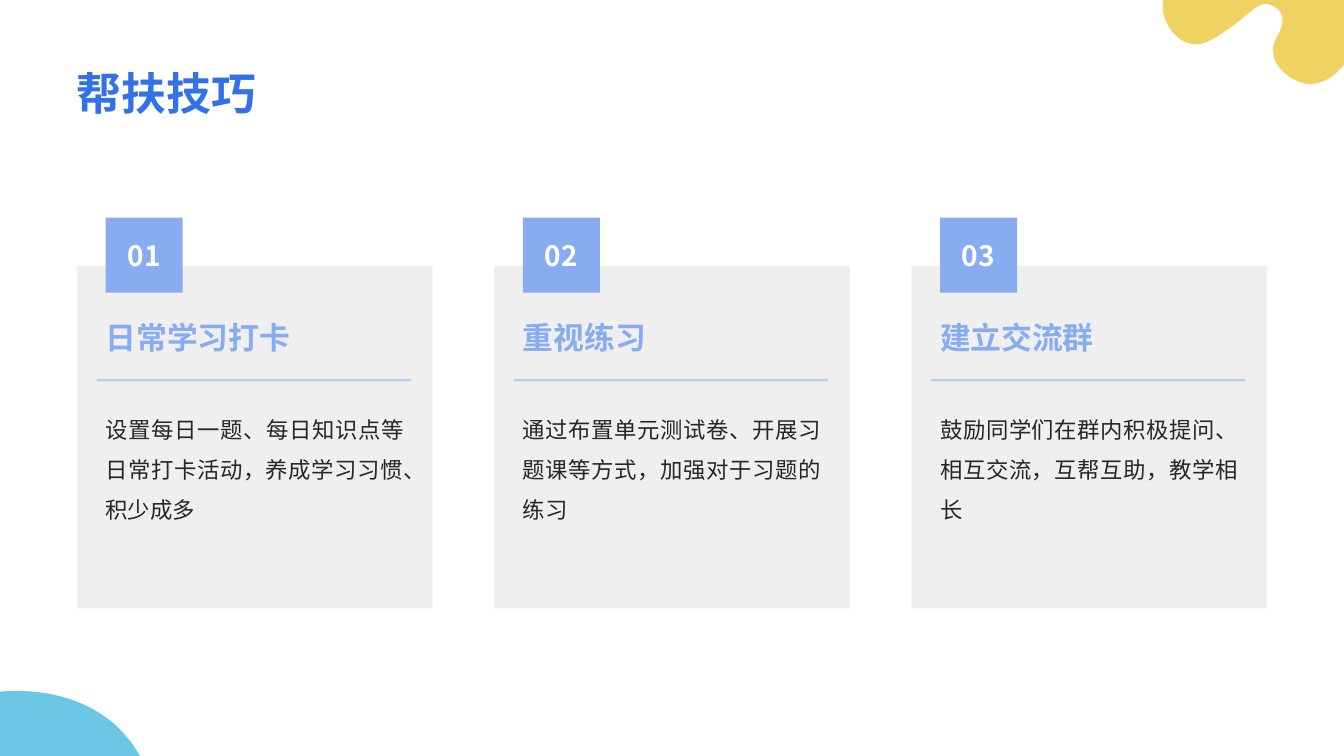
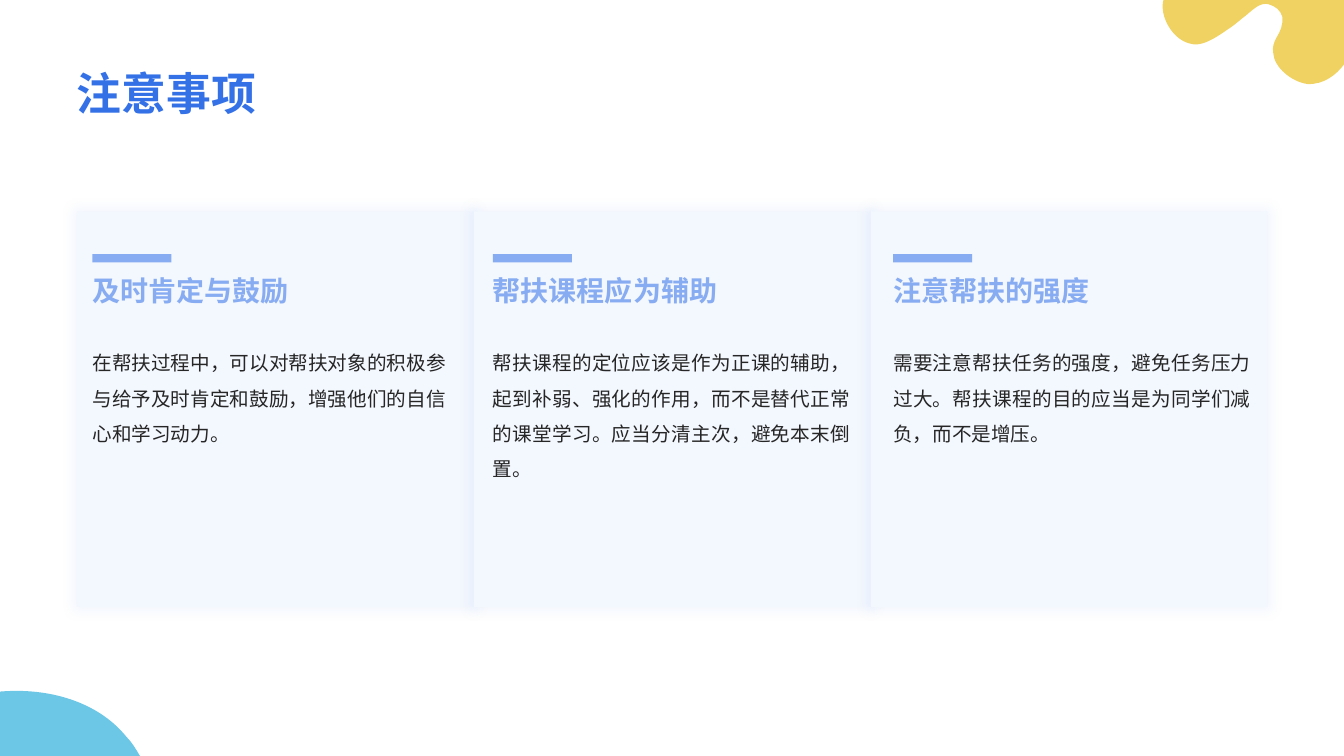
from lxml import etree
from pptx import Presentation
from pptx.dml.color import RGBColor
from pptx.enum.lang import MSO_LANGUAGE_ID as Language
from pptx.enum.shapes import MSO_CONNECTOR as Connector, MSO_SHAPE as Shape
from pptx.enum.text import MSO_ANCHOR as Anchor, PP_ALIGN as Align
from pptx.oxml.ns import qn
from pptx.util import Pt

PX = 6350
SLIDE_WIDTH, SLIDE_HEIGHT = 1920, 1080
MARGIN = 110
FONT = "Noto Sans CJK SC"
TITLE_BLUE = RGBColor(0x34, 0x71, 0xE7)
ACCENT_BLUE = RGBColor(0x88, 0xAC, 0xF1)
PALE_BLUE = RGBColor(0xF3, 0xF7, 0xFE)
GREY = RGBColor(0x99, 0x99, 0x99)
INK = RGBColor(0x26, 0x26, 0x26)
WHITE = RGBColor(0xFF, 0xFF, 0xFF)
YELLOW = RGBColor(0xF0, 0xD2, 0x62)
SKY = RGBColor(0x6C, 0xC6, 0xE6)

YELLOW_BLOB = [
    (1662, 0), (1920, 0), (1920, 92),
    (1909, 107, 1891, 121, 1868, 120), (1845, 117, 1820, 96, 1819, 76),
    (1817, 68, 1820, 60, 1824, 53), (1829, 45, 1833, 36, 1832, 24),
    (1829, 14, 1822, 9, 1812, 6), (1801, 4, 1794, 10, 1780, 22),
    (1773, 27, 1765, 35, 1754, 42), (1735, 55, 1716, 68, 1699, 62),
    (1675, 56, 1656, 23, 1662, 0),
]
SKY_BLOB = [
    (200, 1080), (0, 1080), (0, 988),
    (69, 982, 140, 1002, 181, 1053), (189, 1061, 194, 1070, 200, 1080),
]

SKILLS = [
    ("日常学习打卡", "设置每日一题、每日知识点等日常打卡活动，养成学习习惯、积少成多"),
    ("重视练习", "通过布置单元测试卷、开展习题课等方式，加强对于习题的练习"),
    ("建立交流群", "鼓励同学们在群内积极提问、相互交流，互帮互助，教学相长"),
]
CAUTIONS = [
    ("及时肯定与鼓励",
     "在帮扶过程中，可以对帮扶对象的积极参与给予及时肯定和鼓励，增强他们的自信心和学习动力。",
     Align.LEFT),
    ("帮扶课程应为辅助",
     "帮扶课程的定位应该是作为正课的辅助，起到补弱、强化的作用，而不是替代正常的课堂学习。应当分清主次，避免本末倒置。",
     Align.JUSTIFY),
    ("注意帮扶的强度",
     "需要注意帮扶任务的强度，避免任务压力过大。帮扶课程的目的应当是为同学们减负，而不是增压。",
     Align.JUSTIFY),
]


def to_emu(*lengths):
    return [length * PX for length in lengths]


def write_text(shape, text, size, color, bold=False, align=Align.LEFT,
               anchor=Anchor.TOP, line_spacing=None, wrap=True):
    frame = shape.text_frame
    frame.text = text
    frame.word_wrap = wrap
    frame.vertical_anchor = anchor
    frame.margin_left = frame.margin_top = frame.margin_right = frame.margin_bottom = 0
    paragraph = frame.paragraphs[0]
    paragraph.alignment = align
    if line_spacing:
        paragraph.line_spacing = line_spacing
    font = paragraph.runs[0].font
    font.name, font.size, font.bold = FONT, Pt(size), bold
    font.color.rgb = color
    font.language_id = Language.SIMPLIFIED_CHINESE
    latin = next(shape.element.iter(qn("a:latin")))
    latin.addnext(latin.makeelement(qn("a:ea"), {"typeface": FONT}))


def add_text(slide, box, text, size, color, **style):
    write_text(slide.shapes.add_textbox(*to_emu(*box)), text, size, color, **style)


def set_alpha(fill_owner, percent):
    color = next(fill_owner.iter(qn("a:srgbClr")))
    etree.SubElement(color, qn("a:alpha"), val=str(percent * 1000))


def paint(shape, color):
    shape.shadow.inherit = False
    shape.fill.solid()
    shape.fill.fore_color.rgb = color
    shape.line.fill.background()


def add_box(slide, kind, box, color):
    shape = slide.shapes.add_shape(kind, *to_emu(*box))
    paint(shape, color)
    if kind == Shape.ROUNDED_RECTANGLE:
        shape.adjustments[0] = 0
    return shape


def add_glow(shape):
    effects = shape.element.spPr.find(qn("a:effectLst"))
    shadow = etree.SubElement(effects, qn("a:outerShdw"), blurRad=str(Pt(8)),
                              dist="0", dir="0", sx="102000", sy="102000",
                              algn="ctr", rotWithShape="0")
    etree.SubElement(shadow, qn("a:srgbClr"), val=str(ACCENT_BLUE))
    set_alpha(shadow, 10)


def add_rule(slide, left, top, width):
    rule = slide.shapes.add_connector(
        Connector.STRAIGHT, *to_emu(left, top, left + width, top))
    rule.line.width = Pt(1.75)
    rule.line.color.rgb = ACCENT_BLUE
    set_alpha(rule.element.spPr, 50)
    etree.SubElement(rule.element.spPr, qn("a:effectLst"))


def add_blob(slide, segments, color):
    start, *others = segments
    builder = slide.shapes.build_freeform(*to_emu(*start), scale=1.0)
    builder.add_line_segments([to_emu(*segment[-2:]) for segment in others], close=True)
    blob = builder.convert_to_shape()
    paint(blob, color)
    for line, segment in zip(list(blob.element.iter(qn("a:lnTo"))), others):
        if len(segment) == 6:
            curve = line.makeelement(qn("a:cubicBezTo"), {})
            for x, y in zip(to_emu(*segment[::2]), to_emu(*segment[1::2])):
                etree.SubElement(curve, qn("a:pt"), x=str(x - blob.left), y=str(y - blob.top))
            line.getparent().replace(line, curve)
    return blob


def decorate_layout(layout, slide):
    for segments, color in ((YELLOW_BLOB, YELLOW), (SKY_BLOB, SKY)):
        layout.shapes.element.append(add_blob(slide, segments, color).element)


def add_titled_slide(presentation, layout, text):
    slide = presentation.slides.add_slide(layout)
    title = slide.shapes.title
    title.left, title.top, title.width, title.height = to_emu(MARGIN, 57, 1700, 114)
    write_text(title, text, 32, TITLE_BLUE, bold=True, anchor=Anchor.BOTTOM)
    return slide


def add_skill_card(slide, box, number, heading, body):
    left, top, width, height = box
    inner, inner_width = left + 41, width - 82
    card = add_box(slide, Shape.ROUNDED_RECTANGLE, box, GREY)
    set_alpha(card.element.spPr, 15)
    add_text(slide, (inner, top + 195, inner_width, 253), body, 16, INK,
             align=Align.JUSTIFY, line_spacing=1.5)
    badge = add_box(slide, Shape.ROUNDED_RECTANGLE, (inner, top - 69, 110, 107), ACCENT_BLUE)
    write_text(badge, f"{number:02}", 20, WHITE, bold=True, align=Align.CENTER,
               anchor=Anchor.MIDDLE, wrap=False)
    add_text(slide, (inner, top + 67, inner_width, 70), heading, 22, ACCENT_BLUE,
             bold=True, anchor=Anchor.MIDDLE)
    add_rule(slide, left + 28, top + 163, width - 59)


def add_caution_card(slide, box, inset, heading, body, align):
    left, top, width, height = box
    inner, inner_width = left + inset, width - 56
    add_glow(add_box(slide, Shape.RECTANGLE, box, PALE_BLUE))
    add_text(slide, (inner, top + 183, inner_width, 351), body, 14, INK,
             align=align, line_spacing=1.5)
    add_text(slide, (inner, top + 35, inner_width, 102), heading, 20, ACCENT_BLUE,
             bold=True, align=align, anchor=Anchor.BOTTOM)
    add_box(slide, Shape.RECTANGLE, (inner, top + 61, 113, 12), ACCENT_BLUE)


def main():
    presentation = Presentation()
    presentation.slide_width, presentation.slide_height = to_emu(SLIDE_WIDTH, SLIDE_HEIGHT)
    layout = presentation.slide_layouts[5]

    skills_slide = add_titled_slide(presentation, layout, "帮扶技巧")
    decorate_layout(layout, skills_slide)
    for index, skill in enumerate(SKILLS):
        add_skill_card(skills_slide, (MARGIN + 596 * index, 380, 508, 489), index + 1, *skill)

    cautions_slide = add_titled_slide(presentation, layout, "注意事项")
    for index, caution in enumerate(CAUTIONS):
        add_caution_card(cautions_slide, (MARGIN + 567 * index, 302, 567, 565),
                         22 + 5 * index, *caution)

    presentation.save("out.pptx")


if __name__ == "__main__":
    main()
